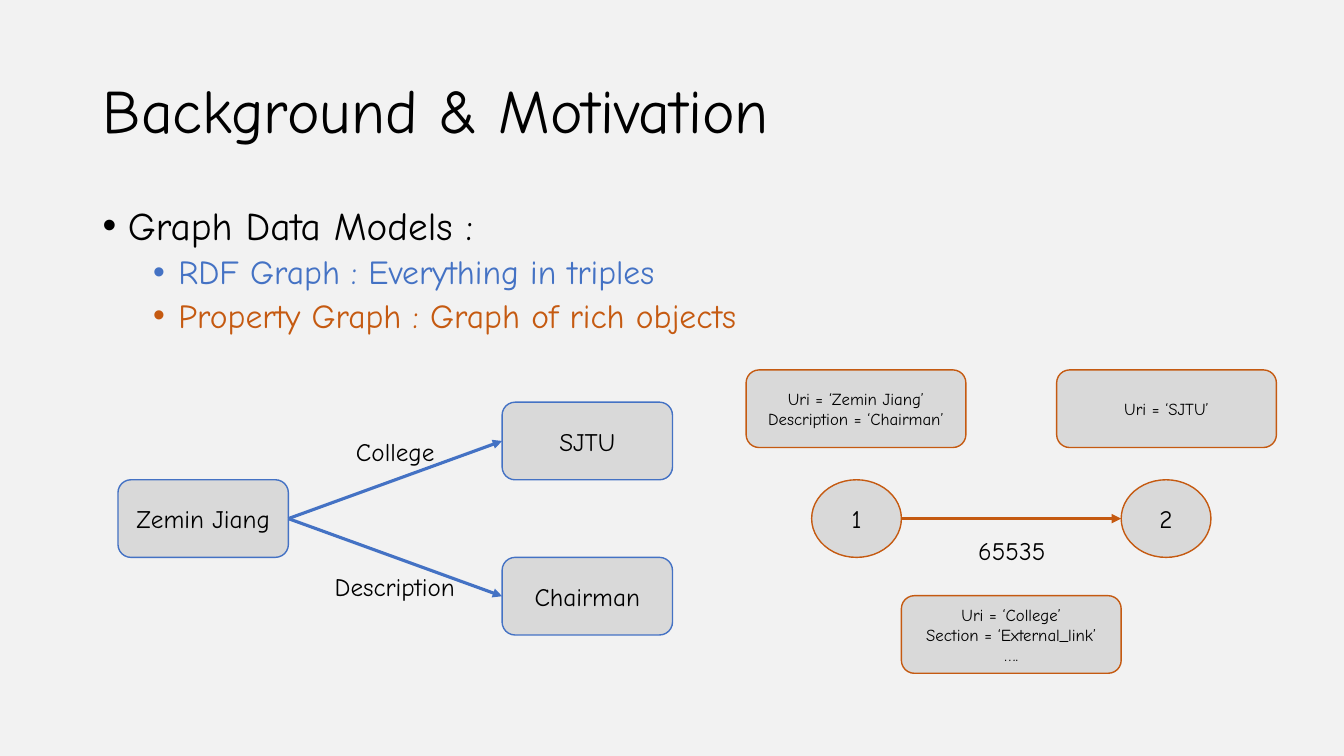
from lxml.etree import SubElement
from pptx import Presentation
from pptx.dml.color import RGBColor
from pptx.enum.shapes import MSO_CONNECTOR, MSO_SHAPE
from pptx.enum.text import MSO_ANCHOR, MSO_AUTO_SIZE, PP_ALIGN
from pptx.oxml.ns import qn
from pptx.util import Inches, Pt

FONT = "Comic Neue"
COLORS = {"back": "F2F2F2", "text": "000000", "node": "D9D9D9",
          "rdf": "4472C4", "prop": "C55A11"}
TITLE = "Background & Motivation"
BULLETS = [
    ("Graph Data Models :", 0, 28, "text"),
    ("RDF Graph : Everything in triples", 1, 24, "rdf"),
    ("Property Graph : Graph of rich objects", 1, 24, "prop"),
]
HIGH = 0.77
BOX, CARD, DISC = 1.69, 2.18, 0.89
NODES = [
    (["Zemin Jiang"], 1.17, 4.76, BOX, "rdf", 18),
    (["SJTU"], 4.98, 3.99, BOX, "rdf", 18),
    (["Chairman"], 4.98, 5.53, BOX, "rdf", 18),
    (["1"], 8.05, 4.76, DISC, "prop", 18),
    (["2"], 11.12, 4.76, DISC, "prop", 18),
    (["Uri = ‘Zemin Jiang’", "Description = ‘Chairman’"], 7.4, 3.67, CARD, "prop", 12),
    (["Uri = ‘SJTU’"], 10.48, 3.67, CARD, "prop", 12),
    (["Uri = ‘College’", "Section = ‘External_link’", "…."], 8.94, 5.91, CARD, "prop", 12),
]
EDGES = [(0, 2), (0, 1), (3, 4)]
LABELS = [
    ("College", 3.34, 4.28, 1.16),
    ("Description", 3.12, 5.62, 1.59),
    ("65535", 9.53, 5.26, 1.01),
]


def color(name):
    return RGBColor.from_string(COLORS[name])


def write(para, text, size=18, hue="text", align=PP_ALIGN.CENTER, space=None, before=0):
    para.text = text
    para.alignment = align
    para.line_spacing = space
    para.space_before = Pt(before)
    para.font.name = FONT
    para.font.size = Pt(size)
    para.font.color.rgb = color(hue)


def add_para(frame, index):
    return frame.add_paragraph() if index else frame.paragraphs[0]


def add_bullet(para, level):
    props = para._p.get_or_add_pPr()
    props.set("marL", str(Inches(0.25 + 0.5 * level)))
    props.set("indent", str(Inches(-0.25)))
    SubElement(props, qn("a:buFont")).set("typeface", "Arial")
    SubElement(props, qn("a:buChar")).set("char", "•")
    para.level = level


def add_box(slide, left, top, width, height):
    box = slide.shapes.add_textbox(Inches(left), Inches(top), Inches(width), Inches(height))
    box.text_frame.word_wrap = True
    return box.text_frame


def add_title(slide):
    title = slide.shapes.title
    title.left, title.top = Inches(0.92), Inches(0.4)
    title.width, title.height = Inches(11.5), Inches(1.45)
    frame = title.text_frame
    frame.auto_size = MSO_AUTO_SIZE.NONE
    frame.vertical_anchor = MSO_ANCHOR.MIDDLE
    write(frame.paragraphs[0], TITLE, size=44, align=PP_ALIGN.LEFT, space=0.9)


def add_list(slide):
    frame = add_box(slide, 0.92, 2, 11.5, 4.76)
    for index, (text, level, size, hue) in enumerate(BULLETS):
        para = add_para(frame, index)
        add_bullet(para, level)
        write(para, text, size=size, hue=hue, align=PP_ALIGN.LEFT,
              space=0.9, before=5 if index else 0)


def add_node(slide, lines, left, top, width, hue, size):
    kind = MSO_SHAPE.OVAL if width == DISC else MSO_SHAPE.ROUNDED_RECTANGLE
    node = slide.shapes.add_shape(kind, Inches(left), Inches(top), Inches(width), Inches(HIGH))
    node.shadow.inherit = False
    node.fill.solid()
    node.fill.fore_color.rgb = color("node")
    node.line.color.rgb = color(hue)
    node.line.width = Pt(1)
    frame = node.text_frame
    frame.word_wrap = True
    frame.vertical_anchor = MSO_ANCHOR.MIDDLE
    for index, text in enumerate(lines):
        write(add_para(frame, index), text, size=size)


def add_edge(slide, start, end):
    _, left, top, width, hue, _ = NODES[start]
    _, goal, drop, *_ = NODES[end]
    edge = slide.shapes.add_connector(
        MSO_CONNECTOR.STRAIGHT, Inches(left + width), Inches(top + HIGH / 2),
        Inches(goal), Inches(drop + HIGH / 2))
    edge.line.color.rgb = color(hue)
    edge.line.width = Pt(2.25)
    SubElement(edge.line._get_or_add_ln(), qn("a:tailEnd")).set("type", "triangle")
    SubElement(edge._element.spPr, qn("a:effectLst"))


def main():
    deck = Presentation()
    deck.slide_width, deck.slide_height = Inches(13.33), Inches(7.5)
    slide = deck.slides.add_slide(deck.slide_layouts[5])
    slide.background.fill.solid()
    slide.background.fill.fore_color.rgb = color("back")
    add_title(slide)
    add_list(slide)
    for node in NODES:
        add_node(slide, *node)
    for start, end in EDGES:
        add_edge(slide, start, end)
    for text, left, top, width in LABELS:
        write(add_box(slide, left, top, width, 0.4).paragraphs[0], text)
    deck.save("out.pptx")


if __name__ == "__main__":
    main()
